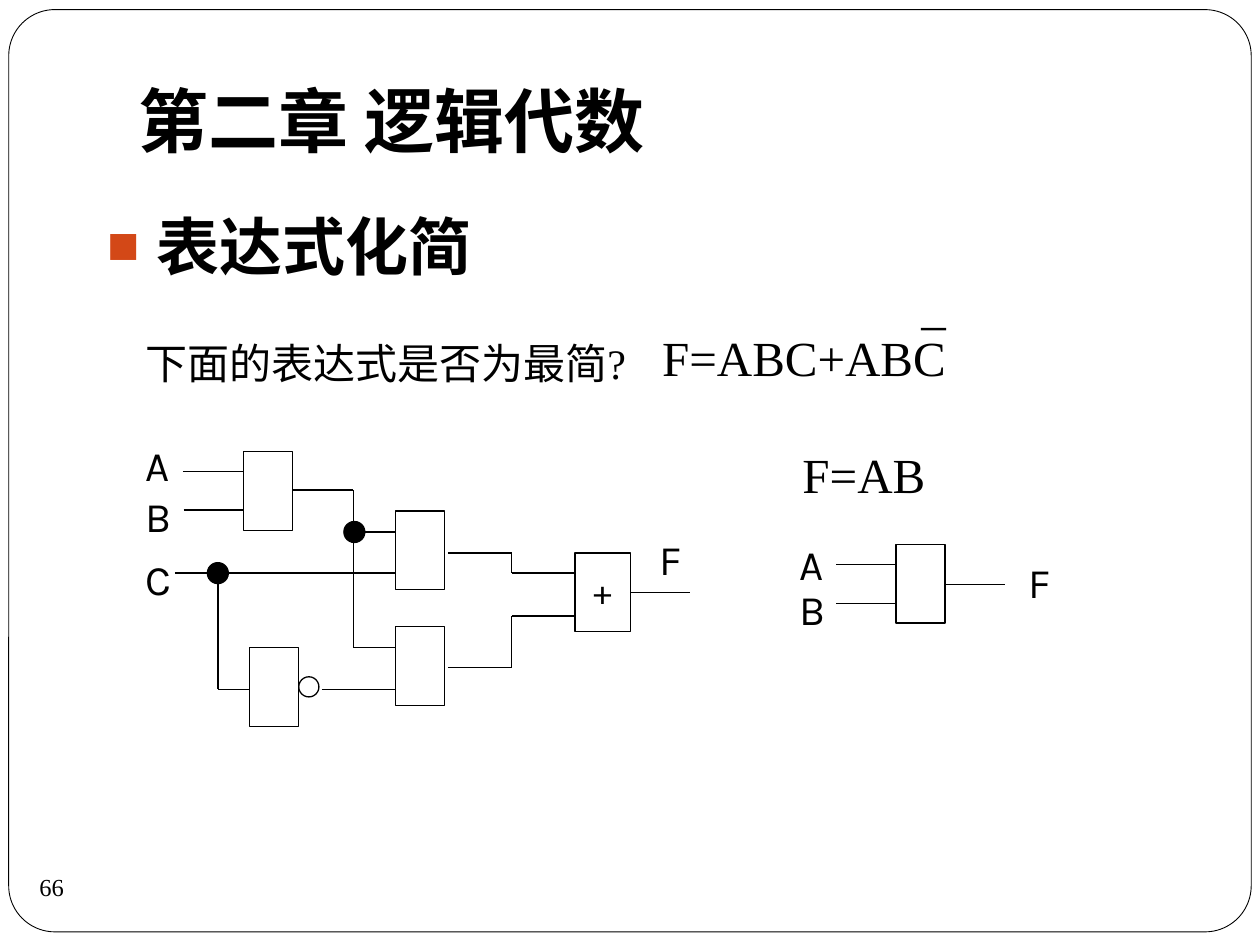
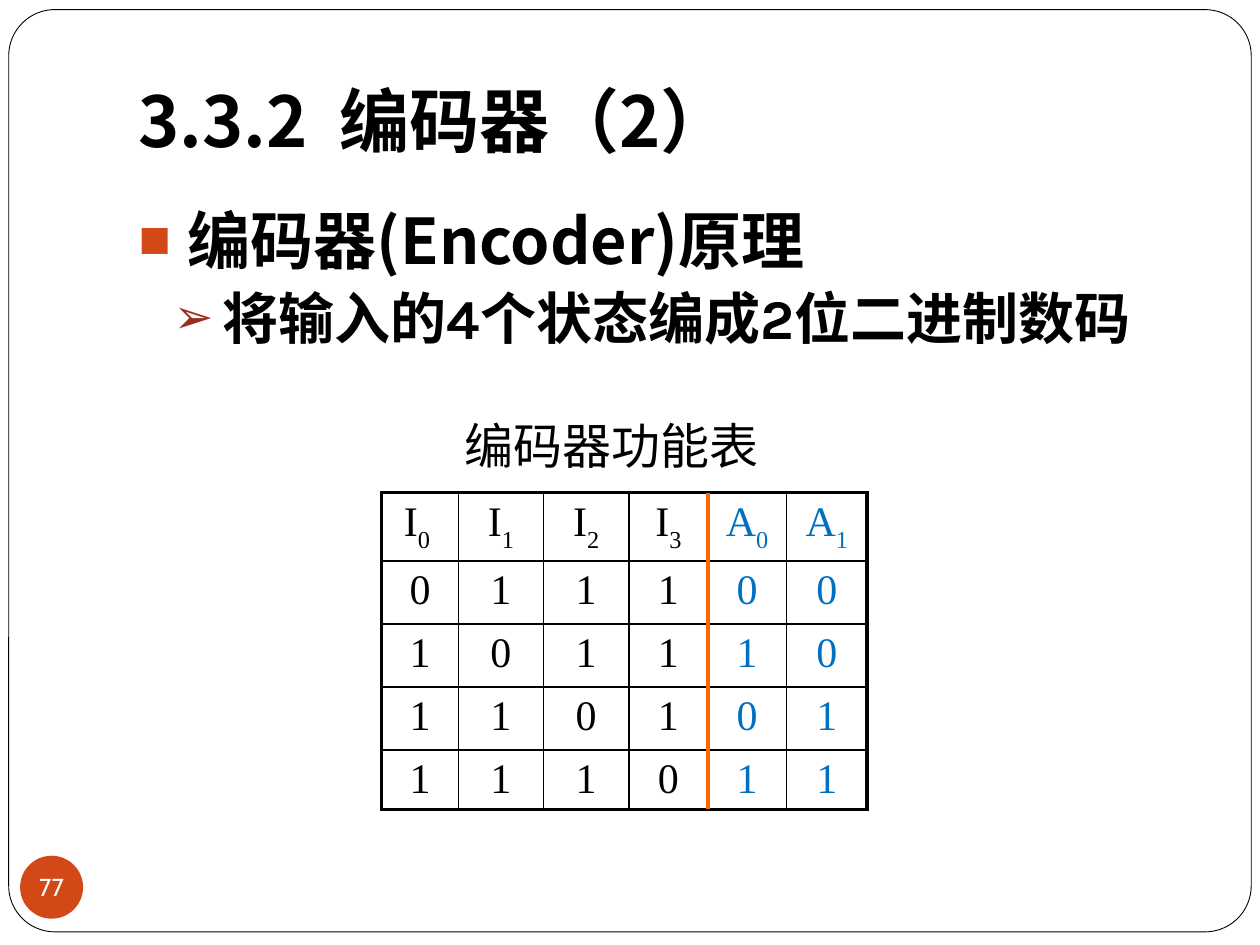
from lxml import etree
from pptx import Presentation
from pptx import util as u
from pptx.dml.color import RGBColor
from pptx.enum import shapes, text
from pptx.oxml import ns

Pt = u.Pt
BLACK = RGBColor(0, 0, 0)
WHITE = RGBColor(255, 255, 255)
ORANGE = RGBColor(0xD3, 0x48, 0x17)
RED = RGBColor(0x9B, 0x2D, 0x1F)
BLUE = RGBColor(0x00, 0x70, 0xC0)
DIVIDER = RGBColor(0xFF, 0x66, 0x00)
CJK, SANS, SERIF, ROUND = "Noto Sans CJK JP", "Karla", "Times New Roman", "Cabin"
TITLE = dict(name=CJK, size=Pt(40), bold=True)
HEADING = dict(name=CJK, size=Pt(36), bold=True)
SUBHEADING = dict(name=SANS, size=Pt(32), bold=True)
LABEL = dict(name=SANS, size=Pt(24))
PLUS = dict(name=SANS, size=Pt(20))
CAPTION = dict(name=SANS, size=Pt(28))
QUESTION = dict(name=SERIF, size=Pt(24))
FORMULA = dict(name=SERIF, size=Pt(28))
# level: (bullet, colour, left margin, space before)
BULLETS = [("■", ORANGE, 28, 5.8), ("➢", RED, 48, 3.7)]
LEFT, CENTER, RIGHT = (text.PP_ALIGN.LEFT, text.PP_ALIGN.CENTER, text.PP_ALIGN.RIGHT)
GATE = (28, 45)


def sub(parent, tag, **attrs):
    return etree.SubElement(parent, ns.qn("a:" + tag), attrs)


class Deck:
    def __init__(self):
        self.prs = Presentation()
        self.prs.slide_width, self.prs.slide_height = Pt(720), Pt(540)
        self.layout = self.prs.slide_layouts[1]
        self.s = None

    def slide(self, title):
        first = self.s is None
        self.s = self.prs.slides.add_slide(self.layout)
        if first:
            self.frame()
        sp = self.s.shapes.title
        self.place(sp, 72, 21.5, 612, 78)
        tf = sp.text_frame
        tf.vertical_anchor = text.MSO_ANCHOR.BOTTOM
        tf.margin_bottom = Pt(7.2)
        self.run(tf.paragraphs[0], title, TITLE)

    def frame(self):
        """Draw the rounded page border and move it to the shared layout."""
        sp = self.shape(shapes.MSO_SHAPE.ROUNDED_RECTANGLE, 5, 5.5, 710, 527,
                        fill=WHITE, width=0.5)
        sp.adjustments[0] = 0.05
        self.layout.shapes._spTree.insert(2, sp._element)

    def place(self, sp, x, y, w, h):
        for name, value in dict(left=x, top=y, width=w, height=h).items():
            setattr(sp, name, Pt(value))
        sp.text_frame.auto_size = text.MSO_AUTO_SIZE.NONE

    def run(self, p, words, style, color=BLACK, align=LEFT, subscript=False):
        p.alignment = align
        r = p.add_run()
        r.text = words
        for name, value in style.items():
            setattr(r.font, name, value)
        r.font.color.rgb = color
        rpr = r._r.get_or_add_rPr()
        sub(rpr, "ea", typeface=CJK)
        if subscript:
            rpr.set("baseline", "-30000")

    def body(self, x, y, w, h, *items):
        """Fill the body placeholder; each item is one level deeper."""
        sp = self.s.placeholders[1]
        self.place(sp, x, y, w, h)
        tf = sp.text_frame
        for level, (words, style) in enumerate(items):
            p = tf.add_paragraph() if level else tf.paragraphs[0]
            char, color, margin, before = BULLETS[level]
            p.level = level
            ppr = p._p.get_or_add_pPr()
            ppr.set("marL", str(Pt(margin)))
            ppr.set("indent", str(-Pt(28)))
            sub(sub(ppr, "buClr"), "srgbClr", val=str(color))
            sub(ppr, "buSzPct", val="85000")
            sub(ppr, "buChar", char=char)
            p.space_before = Pt(before if level else 0)
            self.run(p, words, style)

    def text(self, x, y, w, h, lines, style, align=LEFT, spacing=None):
        tf = self.s.shapes.add_textbox(Pt(x), Pt(y), Pt(w), Pt(h)).text_frame
        tf.word_wrap = True
        for i, line in enumerate(lines):
            p = tf.add_paragraph() if i else tf.paragraphs[0]
            if spacing:
                p.line_spacing = Pt(spacing)
            self.run(p, line, style, align=align)

    def label(self, letter, x, y, style=LABEL):
        self.text(x, y, 28, 36, [letter], style)

    def shape(self, kind, x, y, w, h, fill=None, line=BLACK, width=0.75):
        sp = self.s.shapes.add_shape(kind, Pt(x), Pt(y), Pt(w), Pt(h))
        sp.shadow.inherit = False
        for part, color in ((sp.fill, fill), (sp.line.fill, line)):
            if color is None:
                part.background()
            else:
                part.solid()
                part.fore_color.rgb = color
        if line is not None:
            sp.line.width = Pt(width)
        return sp

    def gate(self, x, y, w=GATE[0], h=GATE[1]):
        self.shape(shapes.MSO_SHAPE.RECTANGLE, x, y, w, h)

    def circle(self, cx, cy, d, fill=None, line=BLACK):
        return self.shape(shapes.MSO_SHAPE.OVAL, cx - d / 2, cy - d / 2, d, d, fill, line)

    def number(self, words, font, color, fill=None):
        tf = self.circle(29.5, 507, 36, fill, None).text_frame
        for side in ("left", "top", "right", "bottom"):
            setattr(tf, "margin_" + side, 0)
        tf.vertical_anchor = text.MSO_ANCHOR.MIDDLE
        tf.word_wrap = False
        self.run(tf.paragraphs[0], words, dict(name=font, size=Pt(14)), color, CENTER)

    def wire(self, *points, color=BLACK, width=0.75):
        """Join the points with straight lines."""
        for (x1, y1), (x2, y2) in zip(points, points[1:]):
            c = self.s.shapes.add_connector(shapes.MSO_CONNECTOR.STRAIGHT,
                                            Pt(x1), Pt(y1), Pt(x2), Pt(y2))
            c.line.color.rgb = color
            c.line.width = Pt(width)
            sub(c._element.spPr, "effectLst")

    def truth_table(self, x, y, widths, heights, header, rows, inputs):
        """Columns from number `inputs` on are outputs, in blue."""
        n_rows, n_cols = len(heights), len(widths)
        table = self.s.shapes.add_table(n_rows, n_cols, Pt(x), Pt(y),
                                        Pt(sum(widths)), Pt(sum(heights))).table
        table.first_row = table.horz_banding = False
        for column, w in zip(table.columns, widths):
            column.width = Pt(w)
        for row, h in zip(table.rows, heights):
            row.height = Pt(h)
        for i, values in enumerate([header] + rows):
            for j, value in enumerate(values):
                cell = table.cell(i, j)
                outer = dict(L=j == 0, R=j == n_cols - 1, T=i == 0, B=i == n_rows - 1)
                self.borders(cell, outer)
                cell.fill.background()
                p = cell.text_frame.paragraphs[0]
                color = BLUE if j >= inputs else BLACK
                self.run(p, value[0], QUESTION, color, CENTER)
                if value[1:]:
                    self.run(p, value[1:], QUESTION, color, CENTER, subscript=True)

    def borders(self, cell, outer):
        tcpr = cell._tc.get_or_add_tcPr()
        for side, is_outer in outer.items():
            ln = sub(tcpr, "ln" + side, w=str(Pt(2.25 if is_outer else 1)))
            sub(sub(ln, "solidFill"), "srgbClr", val=str(BLACK))


def simplification_slide(d):
    d.slide("第二章 逻辑代数")
    d.number("66", SERIF, BLACK)
    d.body(54, 115, 678, 360, ("表达式化简", HEADING))
    d.text(76, 189.5, 300, 36, ["下面的表达式是否为最简?"], QUESTION)

    for x, y in ((139, 258), (226, 292), (142.5, 370), (226, 358)):
        d.gate(x, y)
    d.gate(328.5, 316, 32)
    for points in (
        [(104.5, 269.5), (139, 269.5)],
        [(105, 291.5), (139, 291.5)],
        [(167, 280), (202, 280), (202, 370), (226, 370)],
        [(202, 304), (226, 304)],
        [(100, 327.5), (226, 327.5)],
        [(124.5, 327.5), (124.5, 394), (142.5, 394)],
        [(184, 394), (226, 394)],
        [(256, 316), (292.5, 316), (292.5, 327.5), (328.5, 327.5)],
        [(256, 381.5), (292.5, 381.5), (292.5, 352), (328.5, 352)],
        [(360.5, 338.5), (394.5, 338.5)],
    ):
        d.wire(*points)
    for cx, cy in ((124.5, 327.5), (202.5, 304)):
        d.circle(cx, cy, 12, BLACK)
    d.circle(176.5, 392.5, 11.5)
    for letter, x, y in (("A", 76, 247.5), ("B", 76, 276.5), ("C", 76, 313), ("F", 370, 301.5)):
        d.label(letter, x, y)
    d.label("+", 332, 322, PLUS)

    d.gate(512, 311)
    for x1, x2, y in ((478, 512, 322.5), (478, 512, 345), (540.5, 574.5, 334)):
        d.wire((x1, y), (x2, y))
    for letter, x, y in (("A", 450, 304), ("B", 450, 330), ("F", 580.5, 314.5)):
        d.label(letter, x, y)

    d.text(364, 157.5, 183.5, 67.5, ["_", "F=ABC+ABC"], FORMULA, RIGHT, 30)
    d.text(451.5, 254, 102, 37.5, ["F=AB"], FORMULA, spacing=30)


def encoder_slide(d):
    d.slide("3.3.2  编码器（2）")
    d.body(72, 111.5, 612, 363, ("编码器(Encoder)原理", HEADING),
           ("将输入的4个状态编成2位二进制数码", SUBHEADING))
    d.number("77", ROUND, WHITE, ORANGE)
    widths, heights = [44, 48.5, 49, 45, 45, 46], [39, 36, 36, 36, 34]
    x, y, inputs = 218, 281.5, 4
    d.truth_table(x, y, widths, heights, ["I0 ", "I1", "I2", "I3", "A0", "A1"],
                  ["011100", "101110", "110101", "111011"], inputs)
    d.text(203, 234, 293, 41, ["编码器功能表"], CAPTION, CENTER)
    divider = x + sum(widths[:inputs])
    d.wire((divider, y), (divider, y + sum(heights)), color=DIVIDER, width=2)


def main():
    d = Deck()
    simplification_slide(d)
    encoder_slide(d)
    d.prs.save("out.pptx")


if __name__ == "__main__":
    main()
